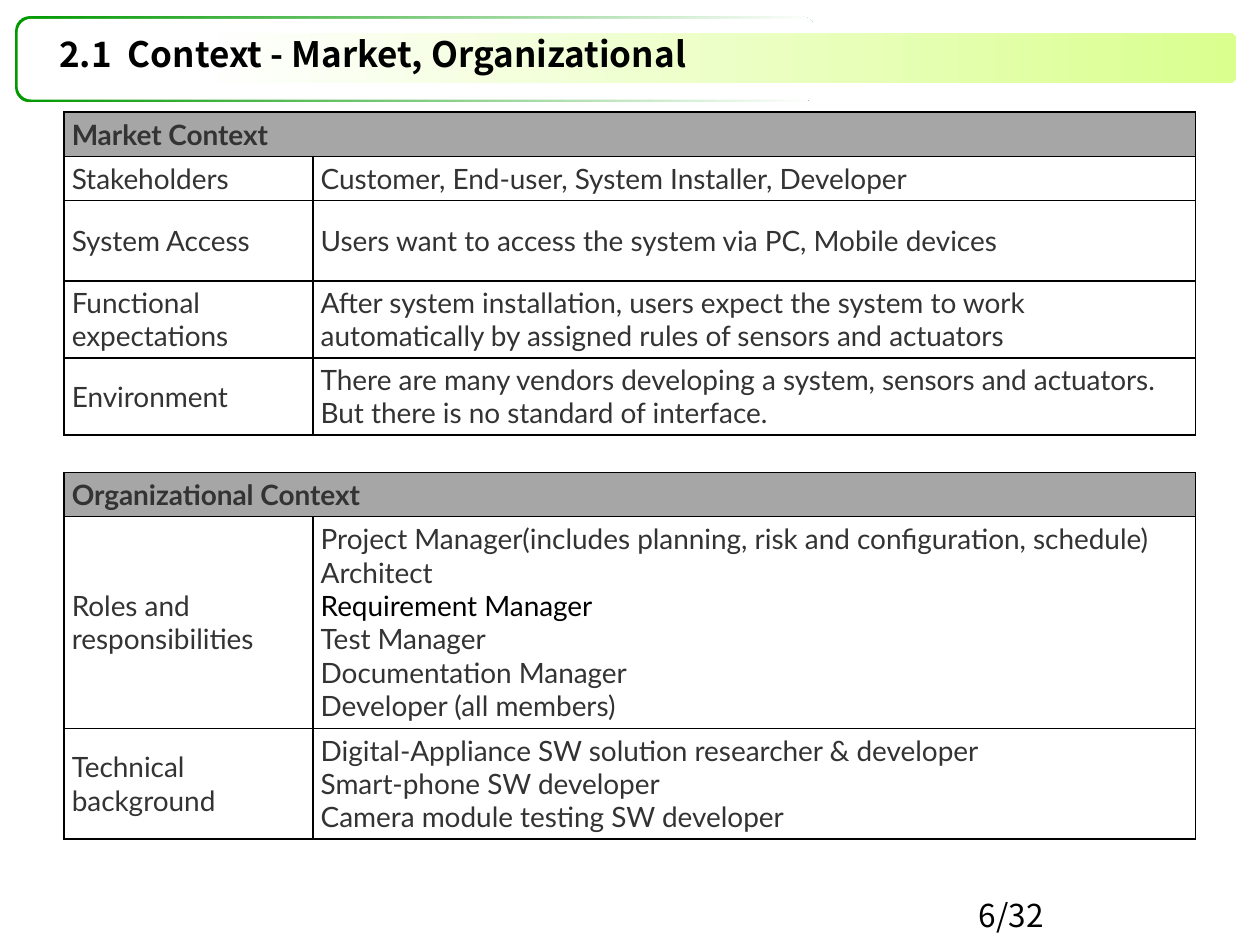
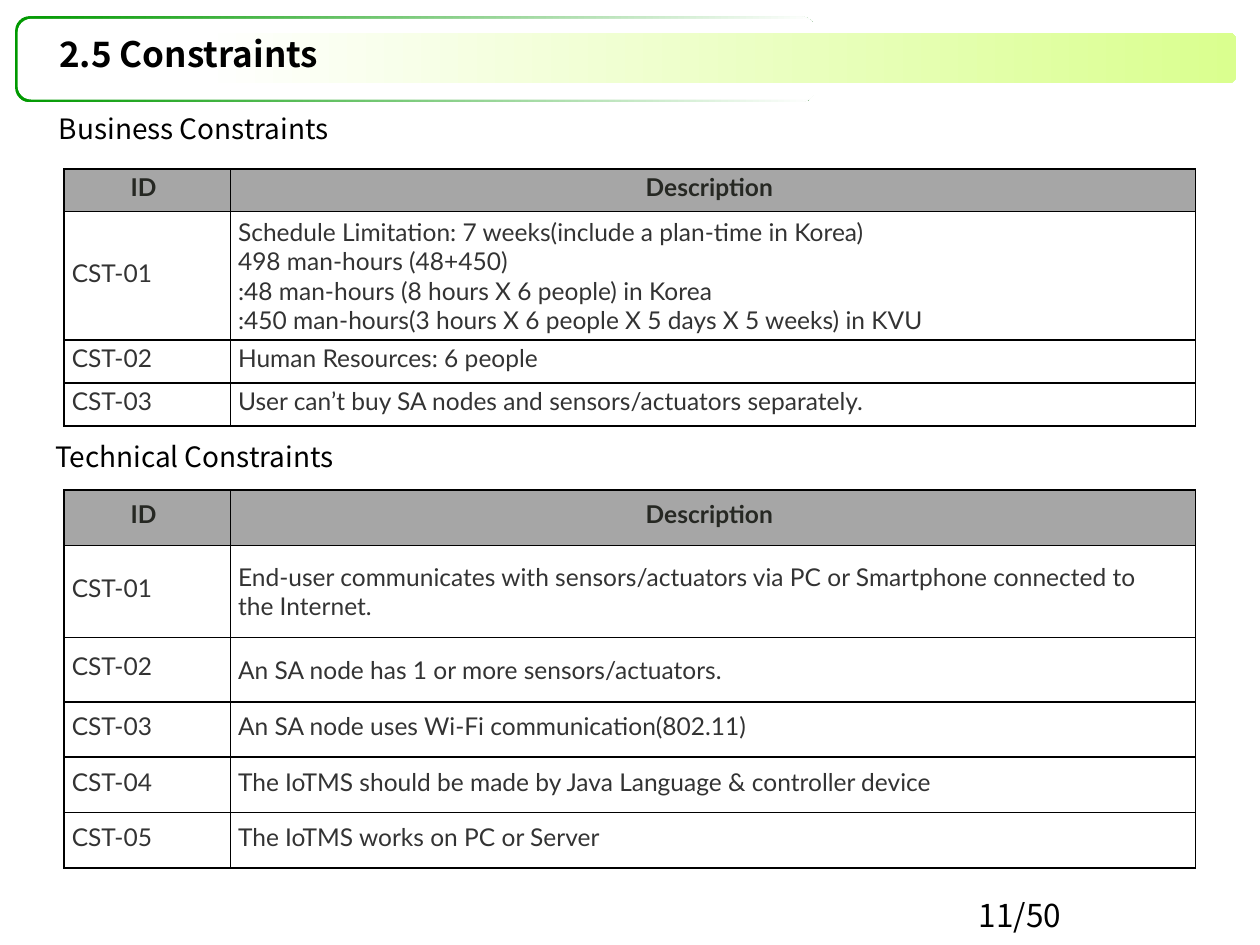
from dataclasses import dataclass

from lxml.etree import SubElement
from pptx import Presentation
from pptx.dml.color import RGBColor
from pptx.enum.shapes import MSO_SHAPE as Shape
from pptx.enum.text import MSO_ANCHOR as Anchor, MSO_AUTO_SIZE as AutoSize, PP_ALIGN as Align
from pptx.oxml.ns import qn
from pptx.util import Inches, Pt


@dataclass(frozen=True)
class Theme:
    heading_font: str = "Noto Sans CJK KR"
    table_font: str = "Lato"
    black: str = "000000"
    white: str = "FFFFFF"
    text: str = "333333"
    header_text: str = "262823"
    header_fill: str = "A6A6A6"
    green: str = "009900"
    lime: str = "DAFF8F"
    title_size: int = 20
    page_size: int = 18
    large_size: int = 16
    small_size: int = 14
    tight_line: int = 13


THEME = Theme()
WIDTH, HEIGHT = 10, 7.5
TABLE_LEFT, TABLE_WIDTH = 0.51, 8.98
CONTEXT_SPLIT, CONSTRAINT_SPLIT = 0.22, 0.147   # share of the first column
INSET_X, INSET_Y = 0.06, 0.04

# Content: a list in a cell holds lines with natural spacing
EMPHASIS = {"Requirement Manager"}

CONTEXT_TABLES = [
    dict(heading="Market\u00a0Context", top=0.89, heights=[0.35, 0.35, 0.64, 0.61, 0.61], rows=[
        (["Stakeholders"], ["Customer, End-user, System Installer, Developer"]),
        (["System Access"], ["Users want to access the system via PC, Mobile devices"]),
        (["Functional", "expectations"],
         ["After system installation, users expect the system to work",
          "automatically by assigned rules of sensors and actuators"]),
        (["Environment"],
         ["There are many vendors developing a system, sensors and actuators. "
          "But there is no standard of interface."]),
    ]),
    dict(heading="Organizational\u00a0Context", top=3.75, heights=[0.35, 1.68, 0.88], rows=[
        (["Roles and ", "responsibilities"],
         ["Project Manager(includes planning, risk and configuration, schedule)",
          "Architect", "Requirement Manager", "Test Manager",
          "Documentation Manager", "Developer (all members)"]),
        (["Technical", "background"],
         ["Digital-Appliance SW solution researcher & developer",
          "Smart-phone SW developer", "Camera module testing SW developer"]),
    ]),
]

CONSTRAINT_HEADER = ("ID", "Description")
CONSTRAINT_TABLES = [
    dict(heading="Business Constraints", heading_at=(0.37, 0.84), top=1.34,
         heights=[0.34, 1.02, 0.34, 0.34], descriptions=[
        ["Schedule Limitation: 7 weeks(include a plan-time in Korea)",
         "498 man-hours (48+450)",
         ":48 man-hours (8 hours X 6 people) in Korea",
         ":450 man-hours(3 hours X 6 people X 5 days X 5 weeks) in KVU"],
        "Human Resources: 6 people",
        "User can’t buy SA nodes and sensors/actuators separately.",
    ]),
    dict(heading="Technical Constraints", heading_at=(0.34, 3.44), top=3.89,
         heights=[0.44, 0.73, 0.51, 0.44, 0.44, 0.44], descriptions=[
        ["End-user communicates with sensors/actuators via PC or Smartphone connected to",
         "the Internet."],
        ["An SA node has 1 or more sensors/actuators."],
        "An SA node uses Wi-Fi communication(802.11)",
        "The IoTMS should be made by Java Language & controller device",
        "The IoTMS works on PC or Server",
    ]),
]


# Helpers
def rgb(code):
    return RGBColor.from_string(code)


def write(frame, content, *, size, font=THEME.heading_font, color=THEME.black,
          bold=False, align=Align.LEFT, line=None, before=0):
    lines = [content] if isinstance(content, str) else content
    frame.word_wrap = True
    for number, words in enumerate(lines):
        paragraph = frame.add_paragraph() if number else frame.paragraphs[0]
        paragraph.alignment = align
        paragraph.space_before = Pt(before)
        if line:
            paragraph.line_spacing = Pt(line)
        run = paragraph.add_run()
        run.text = words
        run.font.name, run.font.size, run.font.bold = font, Pt(size), bold
        run.font.color.rgb = rgb(THEME.black if words in EMPHASIS else color)


def add_text(slide, box, words, **fmt):
    frame = slide.shapes.add_textbox(*map(Inches, box)).text_frame
    write(frame, words, **fmt)


def fill_cell(cell, content, *, fill=THEME.white, right=INSET_X, **fmt):
    cell.vertical_anchor = Anchor.MIDDLE
    cell.margin_left, cell.margin_right = Inches(INSET_X), Inches(right)
    cell.margin_top = cell.margin_bottom = Inches(INSET_Y)
    properties = cell._tc.get_or_add_tcPr()
    for side in ("a:lnL", "a:lnR", "a:lnT", "a:lnB"):
        border = SubElement(properties, qn(side), w=str(Pt(1)))
        SubElement(SubElement(border, qn("a:solidFill")), qn("a:srgbClr"), val=THEME.black)
    cell.fill.solid()
    cell.fill.fore_color.rgb = rgb(fill)
    write(cell.text_frame, content, font=THEME.table_font, **fmt)


def add_grid(slide, top, heights, split):
    frame = slide.shapes.add_table(len(heights), 2, Inches(TABLE_LEFT), Inches(top),
                                   Inches(TABLE_WIDTH), Inches(sum(heights)))
    grid = frame.table
    grid.first_row = grid.horz_banding = False
    for column, share in zip(grid.columns, (split, 1 - split)):
        column.width = Inches(TABLE_WIDTH * share)
    for row, height in zip(grid.rows, heights):
        row.height = Inches(height)
    return grid


def add_context(slide, heading, top, heights, rows):
    grid = add_grid(slide, top, heights, CONTEXT_SPLIT)
    for column in (1, 0):
        fill_cell(grid.cell(0, column), [] if column else heading, fill=THEME.header_fill,
                  size=THEME.large_size, color=THEME.text, bold=True)
    grid.cell(0, 0).merge(grid.cell(0, 1))
    for r, row in enumerate(rows, 1):
        for c, content in enumerate(row):
            fill_cell(grid.cell(r, c), content, size=THEME.large_size, color=THEME.text)


def add_constraints(slide, heading, heading_at, top, heights, descriptions):
    add_text(slide, (*heading_at, 9.33, 0.47), heading, size=THEME.large_size, before=1)
    grid = add_grid(slide, top, heights, CONSTRAINT_SPLIT)
    for c, label in enumerate(CONSTRAINT_HEADER):
        fill_cell(grid.cell(0, c), label, fill=THEME.header_fill, right=2 * INSET_X,
                  size=THEME.small_size, color=THEME.header_text, bold=True,
                  align=Align.CENTER, line=THEME.tight_line)
    for r, description in enumerate(descriptions, 1):
        for c, content in enumerate((f"CST-{r:02}", description)):
            fill_cell(grid.cell(r, c), content, size=THEME.small_size, color=THEME.text,
                      line=THEME.tight_line if isinstance(content, str) else None)


# Shared title band, kept on the layout behind every slide
BAND = [
    ((0.12, 0.13, 6.35, 0.68), 0.167, (THEME.green, THEME.white)),
    ((0.14, 0.15, 6.35, 0.64), 0.167, (THEME.white,)),
    ((1.58, 0.26, 8.23, 0.40), 0.143, (THEME.white, THEME.lime)),
]


def set_up_layout(layout, slide):
    for depth, (box, corner, colors) in enumerate(BAND):
        bar = slide.shapes.add_shape(Shape.ROUNDED_RECTANGLE, *map(Inches, box))
        bar.adjustments[0] = corner
        bar.shadow.inherit = False
        bar.line.fill.background()
        if len(colors) == 1:
            bar.fill.solid()
            bar.fill.fore_color.rgb = rgb(colors[0])
        else:
            bar.fill.gradient()
            bar.fill.gradient_angle = 0
            for stop, color in zip(bar.fill.gradient_stops, colors):
                stop.color.rgb = rgb(color)
        layout.shapes._spTree.insert(2 + depth, bar._element)
    title = layout.placeholders[0]
    title.left, title.top, title.width, title.height = map(Inches, (0.37, 0.21, 8.3, 0.43))


# Build the slides
SLIDES = [
    ("2.1  Context - Market, Organizational", "6/32", add_context, CONTEXT_TABLES),
    ("2.5 Constraints", "11/50", add_constraints, CONSTRAINT_TABLES),
]

deck = Presentation()
deck.slide_width, deck.slide_height = Inches(WIDTH), Inches(HEIGHT)
title_layout = deck.slide_layouts.get_by_name("Title Only")

for index, (heading, page, add_section, sections) in enumerate(SLIDES):
    slide = deck.slides.add_slide(title_layout)
    if index == 0:
        set_up_layout(title_layout, slide)
    title_frame = slide.shapes.title.text_frame
    title_frame.auto_size = AutoSize.NONE
    title_frame.vertical_anchor = Anchor.MIDDLE
    write(title_frame, heading, size=THEME.title_size, bold=True)
    for section in sections:
        add_section(slide, **section)
    add_text(slide, (7.67, 7.06, 2.33, 0.4), page, size=THEME.page_size)

deck.save("out.pptx")
